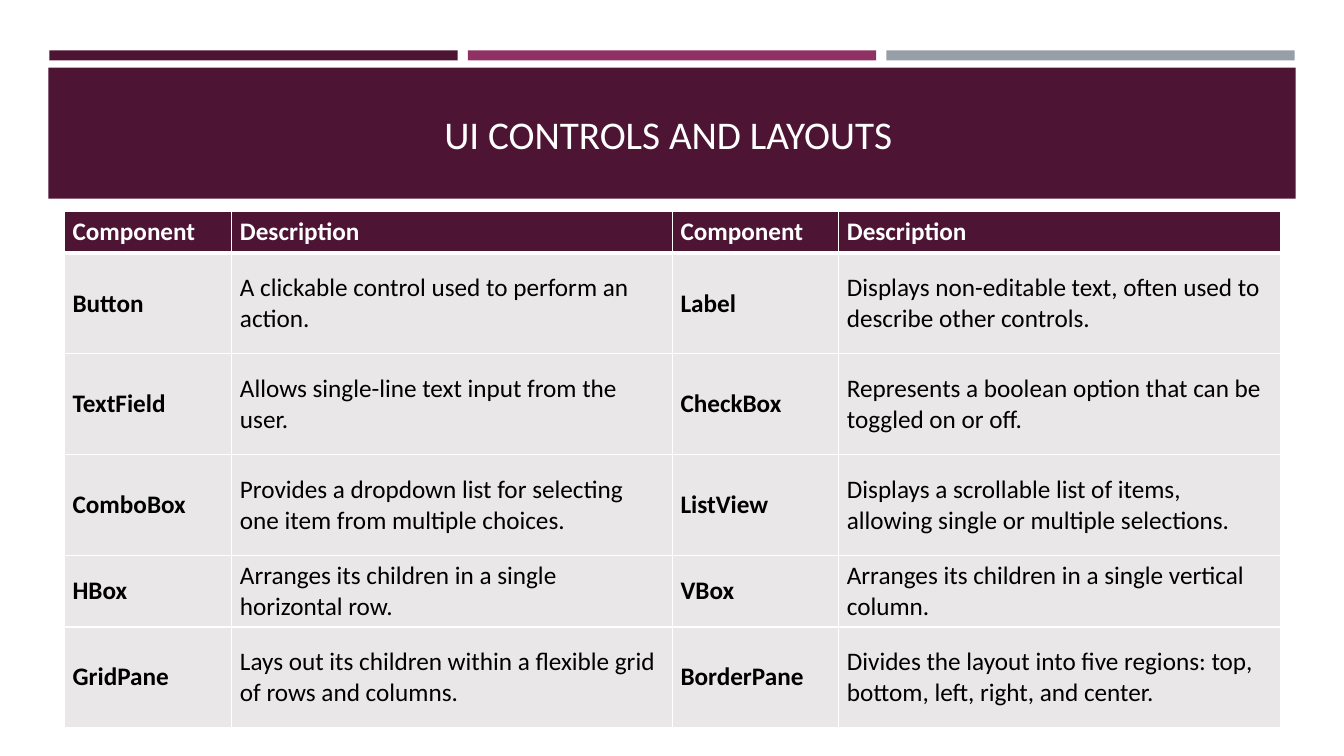
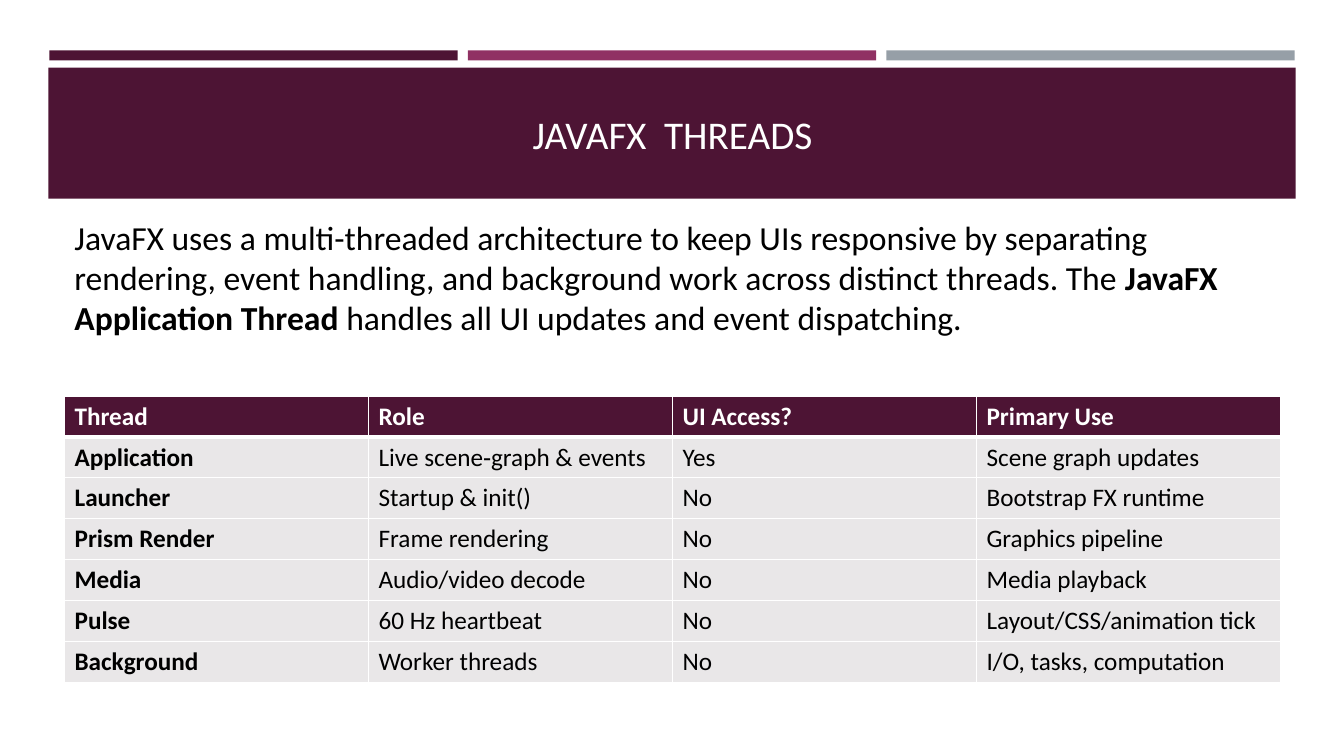
"""Build two JavaFX slides: a table of UI controls and an overview of threads."""
from dataclasses import dataclass

from lxml.etree import SubElement
from pptx import Presentation
from pptx.dml.color import RGBColor
from pptx.enum.shapes import MSO_SHAPE
from pptx.enum.text import MSO_ANCHOR, PP_ALIGN
from pptx.oxml.ns import qn
from pptx.slide import Slide, SlideLayout
from pptx.util import Inches, Pt

COLORS = {
    "plum": "4D1434",
    "magenta": "903163",
    "slate": "969FA7",
    "row": "E9E7E8",
    "white": "FFFFFF",
    "black": "000000",
}
FONT = "Calibri"
CONTENT_LEFT = 0.64
CONTENT_WIDTH = 12.06
CONTENT_TOP = 2.1


@dataclass(frozen=True)
class Band:
    left: float
    top: float
    width: float
    height: float
    color: str


@dataclass(frozen=True)
class Run:
    text: str
    bold: bool = False


@dataclass(frozen=True)
class TableSpec:
    top: float
    columns: tuple[float, ...]
    heights: tuple[float, ...]
    bold_columns: tuple[int, ...]
    margin_x: float
    margin_y: float
    rows: tuple[tuple[str, ...], ...]


STRIPE_WIDTH, STRIPE_GAP = 4.05, 0.1
BANDS = [
    Band(0.49 + i * (STRIPE_WIDTH + STRIPE_GAP), 0.5, STRIPE_WIDTH, 0.1, color)
    for i, color in enumerate(("plum", "magenta", "slate"))
] + [Band(0.48, 0.67, 12.37, 1.3, "plum")]

CONTROLS = TableSpec(
    top=CONTENT_TOP,
    columns=(1.66, 4.37, 1.65, 4.38),
    heights=(0.41, 1, 1, 1, 0.71, 1),
    bold_columns=(0, 2),
    margin_x=0.08,
    margin_y=0.04,
    rows=(
        ("Component", "Description") * 2,
        ("Button", "A clickable control used to perform an action.",
         "Label", "Displays non-editable text, often used to describe other controls."),
        ("TextField", "Allows single-line text input from the user.",
         "CheckBox", "Represents a boolean option that can be toggled on or off."),
        ("ComboBox", "Provides a dropdown list for selecting one item from multiple choices.",
         "ListView", "Displays a scrollable list of items, allowing single or multiple selections."),
        ("HBox", "Arranges its children in a single horizontal row.",
         "VBox", "Arranges its children in a single vertical column."),
        ("GridPane", "Lays out its children within a flexible grid of rows and columns.",
         "BorderPane", "Divides the layout into five regions: top, bottom, left, right, and center."),
    ),
)

THREADS = TableSpec(
    top=3.93,
    columns=(CONTENT_WIDTH / 4,) * 4,
    heights=(0.4,) * 7,
    bold_columns=(0,),
    margin_x=0.1,
    margin_y=0.05,
    rows=(
        ("Thread", "Role", "UI Access?", "Primary Use"),
        ("Application", "Live scene‑graph & events", "Yes", "Scene graph updates"),
        ("Launcher", "Startup & init()", "No", "Bootstrap FX runtime"),
        ("Prism Render", "Frame rendering", "No", "Graphics pipeline"),
        ("Media", "Audio/video decode", "No", "Media playback"),
        ("Pulse", "60 Hz heartbeat", "No", "Layout/CSS/animation tick"),
        ("Background", "Worker threads", "No", "I/O, tasks, computation"),
    ),
)

THREAD_INTRO = (
    Run("JavaFX uses a multi-threaded architecture to keep UIs responsive by separating "
        "rendering, event handling, and background work across distinct threads. The "),
    Run("JavaFX Application Thread", bold=True),
    Run(" handles all UI updates and event dispatching."),
)


def rgb(name: str) -> RGBColor:
    return RGBColor.from_string(COLORS[name])


def add_run(paragraph, run: Run, size: float, color: str) -> None:
    piece = paragraph.add_run()
    piece.text = run.text
    piece.font.name = FONT
    piece.font.size = Pt(size)
    piece.font.bold = run.bold
    piece.font.color.rgb = rgb(color)


def move_bands_to_layout(slide: Slide, layout: SlideLayout) -> None:
    for band in BANDS:
        bar = slide.shapes.add_shape(
            MSO_SHAPE.RECTANGLE, Inches(band.left), Inches(band.top),
            Inches(band.width), Inches(band.height))
        bar.shadow.inherit = False
        bar.fill.solid()
        bar.fill.fore_color.rgb = rgb(band.color)
        bar.line.fill.background()
        layout.shapes.element.append(bar.element)


def add_title(slide: Slide, text: str) -> None:
    title = slide.shapes.title
    title.left, title.top = Inches(CONTENT_LEFT), Inches(0.77)
    title.width, title.height = Inches(CONTENT_WIDTH), Inches(1.11)
    title.text_frame.vertical_anchor = MSO_ANCHOR.MIDDLE
    heading = title.text_frame.paragraphs[0]
    heading.alignment = PP_ALIGN.CENTER
    add_run(heading, Run(text), 28, "white")


def add_borders(cell_properties, row: int) -> None:
    widths = {"L": 1, "R": 1, "T": 3 if row == 1 else 1, "B": 3 if row == 0 else 1}
    for position, (side, width) in enumerate(widths.items()):
        border = SubElement(cell_properties, qn(f"a:ln{side}"), w=str(Pt(width)))
        fill = SubElement(border, qn("a:solidFill"))
        SubElement(fill, qn("a:srgbClr"), val=COLORS["white"])
        cell_properties.insert(position, border)


def add_table(slide: Slide, spec: TableSpec) -> None:
    frame = slide.shapes.add_table(
        len(spec.rows), len(spec.columns), Inches(CONTENT_LEFT), Inches(spec.top),
        Inches(CONTENT_WIDTH), Inches(sum(spec.heights)))
    table = frame.table
    table.horz_banding = False
    for column, width in zip(table.columns, spec.columns):
        column.width = Inches(width)
    for r, (values, height) in enumerate(zip(spec.rows, spec.heights)):
        table.rows[r].height = Inches(height)
        header = r == 0
        for c, value in enumerate(values):
            cell = table.cell(r, c)
            cell.vertical_anchor = MSO_ANCHOR.MIDDLE
            cell.margin_left = cell.margin_right = Inches(spec.margin_x)
            cell.margin_top = cell.margin_bottom = Inches(spec.margin_y)
            cell.fill.solid()
            cell.fill.fore_color.rgb = rgb("plum" if header else "row")
            add_run(cell.text_frame.paragraphs[0],
                    Run(value, header or c in spec.bold_columns),
                    18, "white" if header else "black")
    for r, table_row in enumerate(frame.element.iter(qn("a:tr"))):
        for cell_properties in table_row.iter(qn("a:tcPr")):
            add_borders(cell_properties, r)


def add_intro(slide: Slide, runs: tuple[Run, ...]) -> None:
    intro = slide.shapes.add_textbox(
        Inches(CONTENT_LEFT), Inches(CONTENT_TOP), Inches(CONTENT_WIDTH), Inches(1.31))
    intro.text_frame.word_wrap = True
    for run in runs:
        add_run(intro.text_frame.paragraphs[0], run, 24, "black")


def main() -> None:
    deck = Presentation()
    deck.slide_width, deck.slide_height = Inches(13.33), Inches(7.5)
    title_only = deck.slide_layouts[5]

    controls = deck.slides.add_slide(title_only)
    move_bands_to_layout(controls, title_only)
    add_title(controls, "UI CONTROLS AND LAYOUTS ")
    add_table(controls, CONTROLS)

    threads = deck.slides.add_slide(title_only)
    add_title(threads, "JAVAFX  THREADS")
    add_table(threads, THREADS)
    add_intro(threads, THREAD_INTRO)

    deck.save("out.pptx")


if __name__ == "__main__":
    main()
